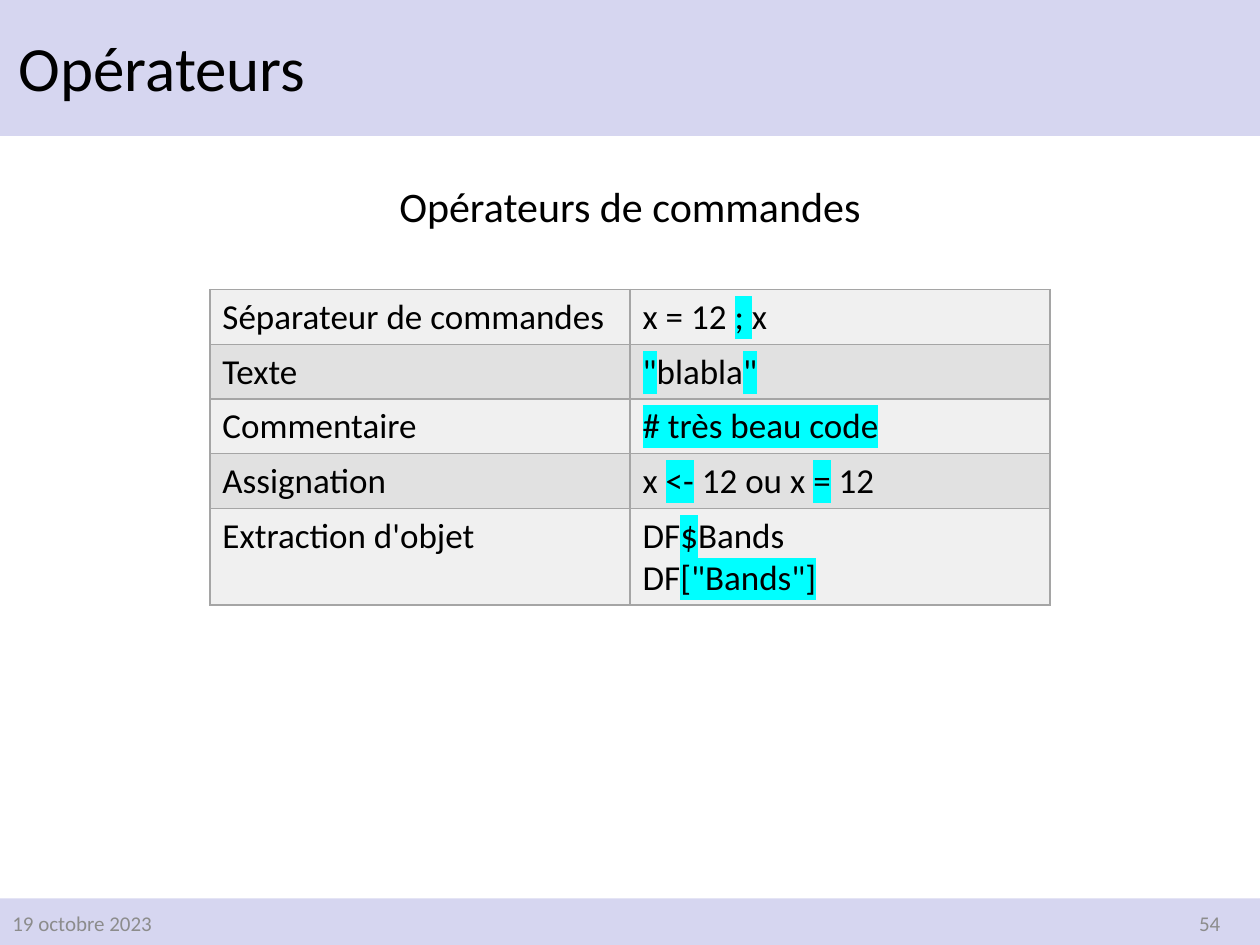
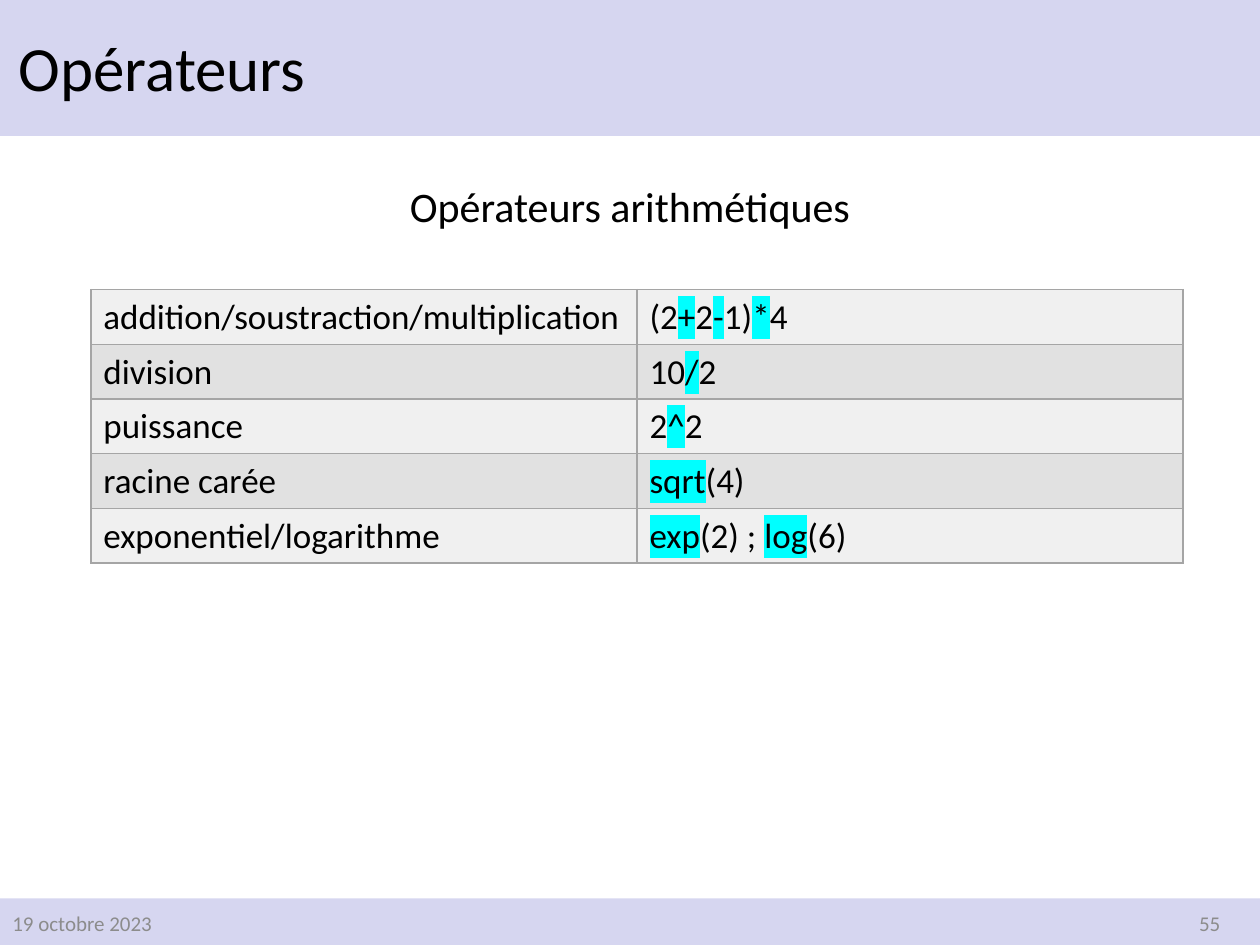
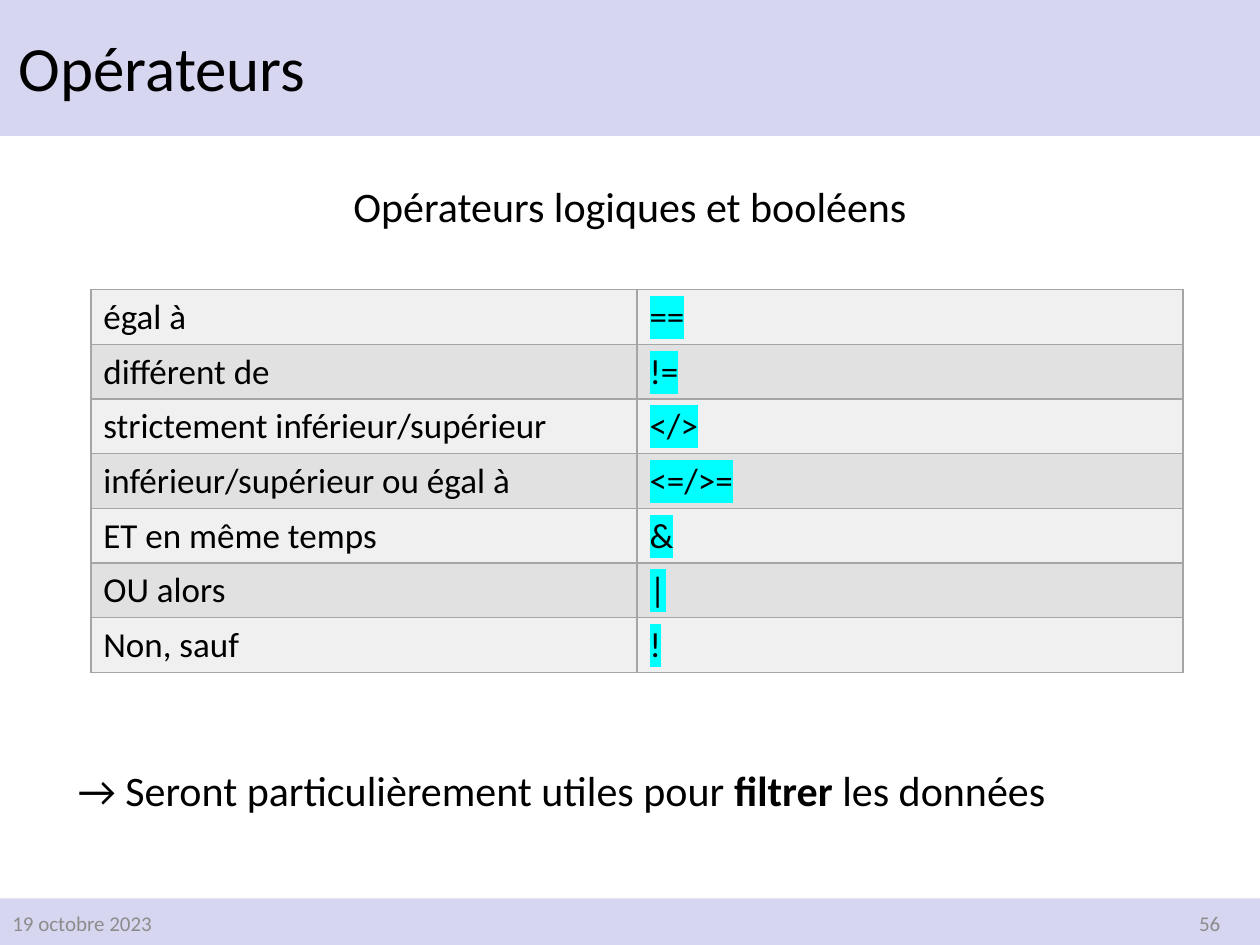
from lxml.etree import SubElement
from pptx import Presentation
from pptx.dml.color import RGBColor as RGB
from pptx.enum.shapes import MSO_SHAPE as Shape
from pptx.enum.text import MSO_ANCHOR as Anchor, MSO_AUTO_SIZE as Fit, PP_ALIGN as Align
from pptx.oxml.ns import qn
from pptx.util import Cm, Pt

LILAC = RGB(0xD6, 0xD6, 0xF0)
BLACK = RGB(0, 0, 0)
GRAY = RGB(0x8C, 0x8C, 0x8C)
EDGE = RGB(0xA5, 0xA5, 0xA5)
CYAN = RGB(0, 0xFF, 0xFF)
ROWS = [RGB(0xF0, 0xF0, 0xF0), RGB(0xE1, 0xE1, 0xE1)]
FONT = "Calibri"
MARK = "~"
WIDE, HIGH = 25.4, 19.05
ROW = 1.1

HEAD = (0, 0, WIDE, 2.74)
FOOT = (0, 18.11, WIDE, HIGH - 18.11)
TOPIC = (0, 3, WIDE, 1.63)
NOTE = (1.32, 14.78, 24, 1.63)
NARROW = (4.23, 5.84, 16.94)
BROAD = (1.83, 5.84, 22.02)

ORDERS = [
    ("Séparateur de commandes", "x = 12 ~; ~x"),
    ("Texte", '~"~blabla~"~'),
    ("Commentaire", "~# très beau code~"),
    ("Assignation", "x ~<-~ 12 ou x ~=~ 12"),
    ("Extraction d'objet", 'DF~$~Bands\nDF~["Bands"]~'),
]
SUMS = [
    ("addition/soustraction/multiplication", "(2~+~2~-~1)~*~4"),
    ("division", "10~/~2"),
    ("puissance", "2~^~2"),
    ("racine carée", "~sqrt~(4)"),
    ("exponentiel/logarithme", "~exp~(2) ; ~log~(6)"),
]
TESTS = [
    ("égal à", "~==~"),
    ("différent de", "~!=~"),
    ("strictement inférieur/supérieur", "~</>~"),
    ("inférieur/supérieur ou égal à", "~<=/>=~"),
    ("ET en même temps", "~&~"),
    ("OU alors", "~|~"),
    ("Non, sauf", "~!~"),
]


def solid(node, color):
    fill = SubElement(node, qn("a:solidFill"))
    SubElement(fill, qn("a:srgbClr"), val=str(color))


def glow(run):
    light = SubElement(run.font._element, qn("a:highlight"))
    SubElement(light, qn("a:srgbClr"), val=str(CYAN))


def embolden(run):
    run.font.bold = True


def write(para, text, size, color=BLACK, stress=glow):
    for i, part in enumerate(text.split(MARK)):
        if part:
            run = para.add_run()
            run.text = part
            run.font.size = Pt(size)
            run.font.color.rgb = color
            if i % 2:
                stress(run)
            run.font.name = FONT


def label(slide, box, text, size, color=BLACK, align=Align.LEFT, space=1):
    frame = slide.shapes.add_textbox(*map(Cm, box)).text_frame
    frame.word_wrap = True
    frame.vertical_anchor = Anchor.MIDDLE
    para = frame.paragraphs[0]
    para.alignment = align
    para.line_spacing = space
    write(para, text, size, color, embolden)
    return frame


def block(slide, box, text, align=Align.LEFT):
    frame = label(slide, box, text, 24, align=align, space=1.5)
    frame.vertical_anchor = Anchor.TOP
    frame.auto_size = Fit.SHAPE_TO_FIT_TEXT


def band(slide, box):
    bar = slide.shapes.add_shape(Shape.RECTANGLE, *map(Cm, box))
    bar.shadow.inherit = False
    bar.fill.solid()
    bar.fill.fore_color.rgb = LILAC
    bar.line.fill.background()


def header(slide, box, text):
    left, top, wide, high = box
    band(slide, box)
    label(slide, (left + 0.13, top + 0.18, 18.62, high - 0.23), text, 36, space=0.9)


def footer(slide, box, page):
    left, top, wide, high = box
    band(slide, box)
    label(slide, (left, top, 5.72, 1.01), "19 octobre 2023", 12, GRAY)
    label(slide, (left + wide - 6.27, top, 5.72, 1.01), str(page), 12, GRAY, Align.RIGHT)


def border(cell):
    props = cell._tc.get_or_add_tcPr()
    for side in "LRTB":
        line = SubElement(props, qn("a:ln" + side), w=str(Pt(1)))
        solid(line, EDGE)


def grid(slide, box, rows):
    left, top, wide = box
    size = map(Cm, (left, top, wide, ROW * len(rows)))
    table = slide.shapes.add_table(len(rows), 2, *size).table
    table.first_row = table.horz_banding = False
    for i, row in enumerate(rows):
        for j, text in enumerate(row):
            cell = table.cell(i, j)
            border(cell)
            cell.fill.solid()
            cell.fill.fore_color.rgb = ROWS[i % 2]
            frame = cell.text_frame
            for k, line in enumerate(text.split("\n")):
                para = frame.add_paragraph() if k else frame.paragraphs[0]
                write(para, line, 20)


def sheet(deck, page, topic, box, rows):
    slide = deck.slides.add_slide(deck.slide_layouts[6])
    header(slide, HEAD, "Opérateurs")
    footer(slide, FOOT, page)
    block(slide, TOPIC, topic, Align.CENTER)
    grid(slide, box, rows)
    return slide


def main():
    deck = Presentation()
    deck.slide_width, deck.slide_height = Cm(WIDE), Cm(HIGH)
    sheet(deck, 54, "Opérateurs de commandes", NARROW, ORDERS)
    sheet(deck, 55, "Opérateurs arithmétiques", BROAD, SUMS)
    last = sheet(deck, 56, "Opérateurs logiques et booléens", BROAD, TESTS)
    block(last, NOTE, "→ Seront particulièrement utiles pour ~filtrer ~les données")
    deck.save("out.pptx")


if __name__ == "__main__":
    main()
